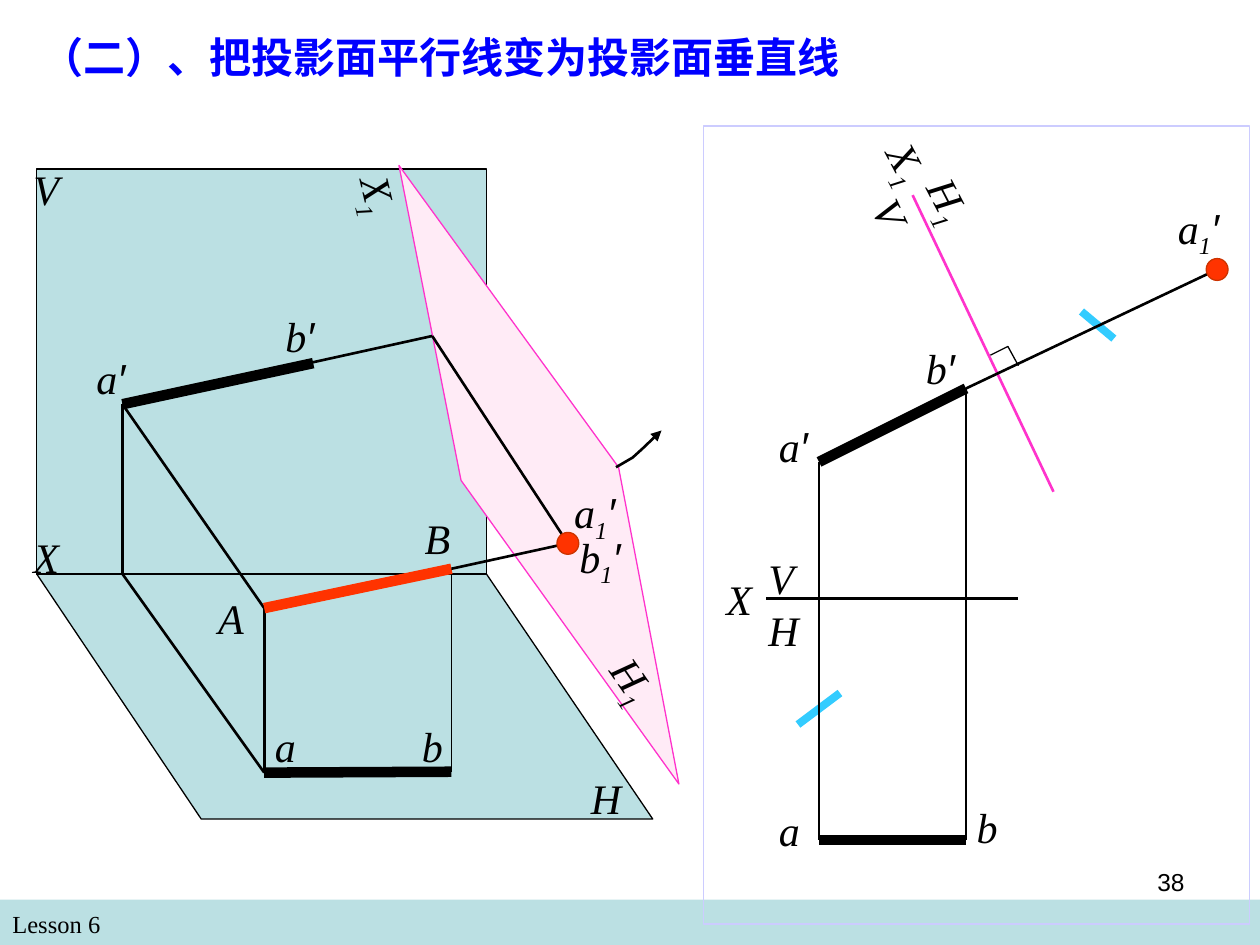
from dataclasses import dataclass

from lxml.etree import SubElement
from pptx import Presentation
from pptx.dml.color import RGBColor
from pptx.enum.shapes import MSO_CONNECTOR, MSO_SHAPE
from pptx.enum.text import MSO_ANCHOR, MSO_AUTO_SIZE, PP_ALIGN
from pptx.oxml.ns import qn
from pptx.util import Pt


@dataclass(frozen=True)
class Theme:
    ink: str = "000000"
    title: str = "0000FF"
    plane: str = "BBE0E3"
    new_plane: str = "FFEBF6"
    new_axis: str = "FF33CC"
    accent: str = "FF3300"
    dot_edge: str = "CC3300"
    tick: str = "33CCFF"
    frame: str = "CCCCFF"
    serif: str = "Times New Roman"
    sans: str = "Arial"
    cjk: str = "Noto Sans CJK SC"
    big: int = 24
    small: int = 14
    hair: float = 0.75
    thin: float = 1.5
    mark: float = 4.5
    thick: float = 6


T = Theme()


def rgb(value):
    return RGBColor.from_string(value)


def style(sp, fill=None, line=None, width=T.hair):
    sp.shadow.inherit = False
    if fill:
        sp.fill.solid()
        sp.fill.fore_color.rgb = rgb(fill)
    else:
        sp.fill.background()
    if line:
        sp.line.color.rgb = rgb(line)
        sp.line.width = Pt(width)
    else:
        sp.line.fill.background()


def add_run(p, text, font=T.serif, size=T.big, color=T.ink):
    r = p.add_run()
    r.text = text
    r.font.name = font
    r.font.size = Pt(size)
    r.font.color.rgb = rgb(color)
    return r


class Region:
    """A box on the slide; all positions are points from its top left corner."""

    def __init__(self, s, box):
        self.shapes = s.shapes
        self.left, self.top, self.width, self.height = box

    def at(self, x, y):
        return Pt(self.left + x), Pt(self.top + y)

    def rect(self, x, y, w, h, **look):
        sp = self.shapes.add_shape(MSO_SHAPE.RECTANGLE, *self.at(x, y), Pt(w), Pt(h))
        style(sp, **look)

    def dot(self, center, d=12.5):
        x, y = center
        sp = self.shapes.add_shape(
            MSO_SHAPE.OVAL, *self.at(x - d / 2, y - d / 2), Pt(d), Pt(d))
        style(sp, T.accent, T.dot_edge)

    def line(self, start, end, width=T.thin, color=T.ink):
        c = self.shapes.add_connector(
            MSO_CONNECTOR.STRAIGHT, *self.at(*start), *self.at(*end))
        c.line.color.rgb = rgb(color)
        c.line.width = Pt(width)
        SubElement(c._element.spPr, qn("a:effectLst"))

    def outline(self, points, close=True, **look):
        first, *rest = [self.at(*pt) for pt in points]
        fb = self.shapes.build_freeform(*first)
        fb.add_line_segments(rest, close=close)
        sp = fb.convert_to_shape()
        style(sp, **look)
        return sp

    def text_box(self, x, y, w, h):
        sp = self.shapes.add_textbox(*self.at(x, y), Pt(w), Pt(h))
        sp.text_frame.word_wrap = True
        return sp

    def label(self, text, x, y, w=46, h=36, turn=0):
        """Italic point name: the digit 1 is a subscript, the prime is sans."""
        sp = self.text_box(x, y, w, h)
        sp.rotation = turn
        for ch in text:
            r = add_run(sp.text_frame.paragraphs[0], ch, T.sans if ch == "′" else T.serif)
            r.font.italic = True
            if ch == "1":
                r._r.get_or_add_rPr().set("baseline", "-25000")


def add_title(s, box):
    sp = s.shapes.title
    sp.left, sp.top, sp.width, sp.height = map(Pt, box)
    tf = sp.text_frame
    tf.word_wrap = False
    tf.auto_size = MSO_AUTO_SIZE.NONE
    tf.vertical_anchor = MSO_ANCHOR.TOP
    p = tf.paragraphs[0]
    p.alignment = PP_ALIGN.LEFT
    p.space_before = Pt(0)
    r = add_run(p, "（二）、把投影面平行线变为投影面垂直线", T.cjk, color=T.title)
    r.font.bold = True
    SubElement(r._r.get_or_add_rPr(), qn("a:ea"), typeface=T.cjk)


def add_footer(s, box):
    g = Region(s, box)
    g.rect(0, 0, g.width, g.height, fill=T.plane)
    sp = g.text_box(0, 2, 348, 24)
    add_run(sp.text_frame.paragraphs[0], "Lesson 6", size=T.small)


def add_page_number(s, box):
    g = Region(s, box)
    p = g.text_box(0, 0, g.width, g.height).text_frame.paragraphs[0]
    p.alignment = PP_ALIGN.RIGHT
    add_run(p, "38", T.sans, T.small)


def add_space_view(s, box):
    g = Region(s, box)
    a_front, b_front, front_foot = (50, 141), (159, 117.5), (227, 102)
    a_axis, a_space, b_space = (50, 238), (131, 257.5), (238, 235)
    a_plan, b_plan, trace = (131, 351.5), (238, 351), (304.5, 220.5)

    g.outline([(258, 238), (353, 378), (95, 378), (1, 238)], fill=T.plane, line=T.ink)
    g.rect(1, 6.5, 257, 231.5, fill=T.plane, line=T.ink)
    for start, end in [(a_front, a_axis), (a_axis, a_plan),
                       (a_front, a_space), (a_space, a_plan)]:
        g.line(start, end)
    g.line(b_space, b_plan, T.hair)
    g.line(a_plan, b_plan, T.thick)
    g.line(a_front, b_front, T.thick)
    g.line(a_space, b_space, T.thick, T.accent)

    g.outline([(208, 4.5), (243.5, 184.5), (368, 358), (333.5, 177)],
              fill=T.new_plane, line=T.new_axis)
    arrow = g.outline([(332, 177), (341.5, 171.5), (347, 166.5), (358, 156)],
                      close=False, line=T.ink, width=T.thin)
    SubElement(arrow.line._get_or_add_ln(), qn("a:tailEnd"), type="triangle")
    for start, end in [(a_front, front_foot), (b_space, trace), (front_foot, trace)]:
        g.line(start, end)
    g.dot(trace)

    for text, x, y in [("V", -8, 0), ("X", -8, 210), ("H", 310.5, 348),
                       ("A", 97.5, 245), ("B", 215.5, 199.5),
                       ("a′", 28, 108), ("b′", 136, 84),
                       ("a", 130, 318), ("b", 214, 318)]:
        g.label(text, x, y)
    g.label("H1", 318.5, 285, 52.5, 40, 55.3)
    g.label("X1", 175, 5, 42, 40, 76.8)
    g.label("a1′", 301, 184.5, 76, 40)
    g.label("b1′", 304, 210, 59, 40)


def add_projection_view(s, box):
    g = Region(s, box)
    a_front, b_front = (66, 192), (150, 150)
    a_plan, b_plan, trace = (66, 408), (150, 408), (293.5, 82)

    g.rect(0, 0, g.width, g.height, line=T.frame)
    g.line((119.5, 39.5), (200, 209), color=T.new_axis)
    g.line((216, 106), (234.5, 121.5), T.mark, T.tick)
    g.line((78, 324), (54, 342), T.mark, T.tick)
    g.line(a_plan, b_plan, T.thick)
    g.line(a_front, b_front, T.thick)
    g.line((36, 270), (180, 270))
    for start, end in [(a_front, a_plan), (b_front, b_plan), (b_front, trace)]:
        g.line(start, end)
    g.outline([(164, 131), (174, 126), (180, 137)], close=False, line=T.ink)
    g.dot(trace)

    for text, x, y in [("X", 6, 252), ("V", 30, 240), ("H", 30, 270),
                       ("a′", 36, 165), ("b′", 120, 120),
                       ("a", 36, 384), ("b", 149, 382.5)]:
        g.label(text, x, y)
    g.label("a1′", 264, 40, 50, 40)
    g.label("X1", 83.5, 25, 88, 40, 62.2)
    g.label("H1", 117, 28, 49, 40, 62.6)
    g.label("V", 87, 41, 49, 36, 65)


def main():
    prs = Presentation()
    prs.slide_width, prs.slide_height = Pt(720), Pt(540)
    s = prs.slides.add_slide(prs.slide_layouts[5])
    add_footer(s, (0, 514, 720, 26))
    add_space_view(s, (20, 90, 372, 410))
    add_projection_view(s, (402, 72, 312, 456))
    add_title(s, (16.5, 14.5, 482.5, 36))
    add_page_number(s, (516, 492, 168, 37))
    prs.save("out.pptx")


if __name__ == "__main__":
    main()
